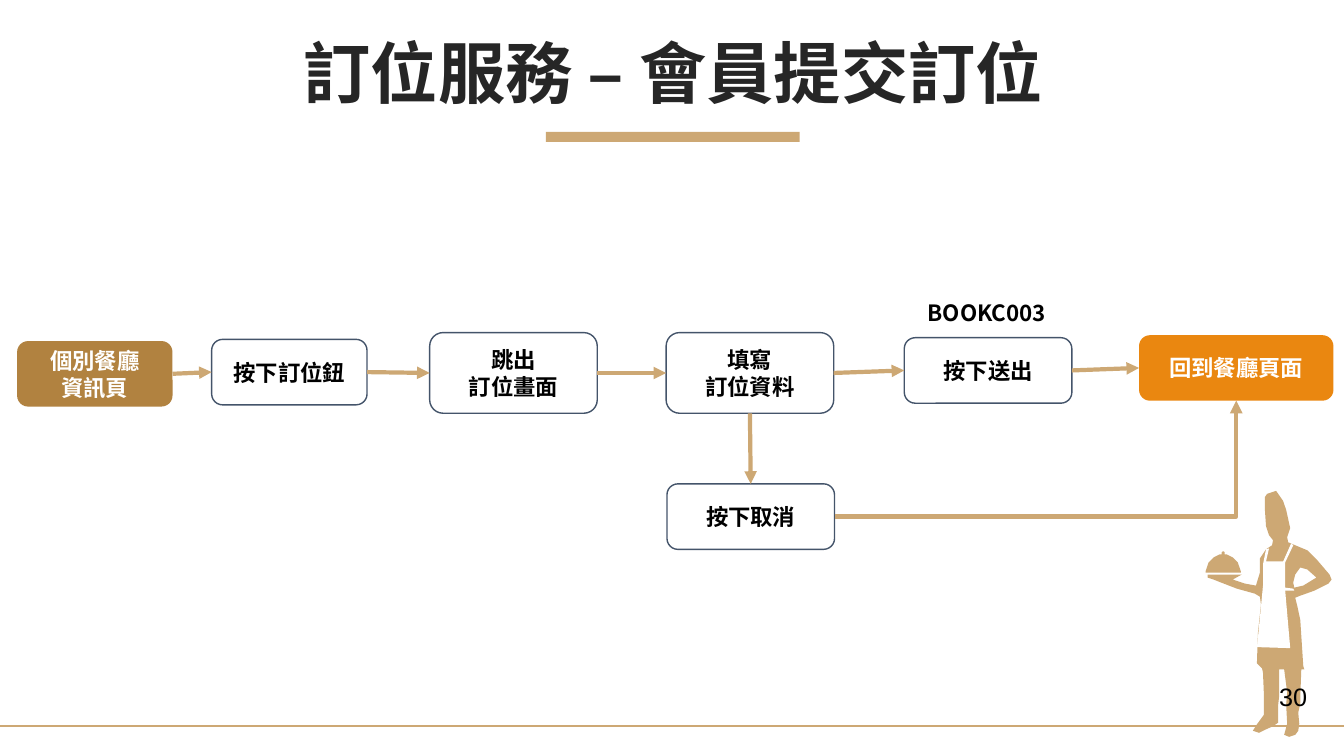
from dataclasses import dataclass

from lxml import etree
from pptx import Presentation
from pptx.dml.color import RGBColor
from pptx.enum.shapes import MSO_CONNECTOR, MSO_SHAPE
from pptx.enum.text import MSO_ANCHOR, PP_ALIGN
from pptx.oxml.ns import qn
from pptx.util import Inches, Pt

STRAIGHT, ELBOW = MSO_CONNECTOR.STRAIGHT, MSO_CONNECTOR.ELBOW
RECT, ROUNDED = MSO_SHAPE.RECTANGLE, MSO_SHAPE.ROUNDED_RECTANGLE
LEFT, CENTER = PP_ALIGN.LEFT, PP_ALIGN.CENTER
TOP, MIDDLE = MSO_ANCHOR.TOP, MSO_ANCHOR.MIDDLE
BOTTOM_SIDE, LEFT_SIDE, RIGHT_SIDE, TOP_SIDE = 2, 1, 3, 0

# The slide is a grid of 160 columns by 90 rows of square cells
SLIDE_W, SLIDE_H = Inches(13.333), Inches(7.5)
COLS, ROWS = 160, 90
CELL = SLIDE_H / ROWS
CHEF_UNIT = SLIDE_H / 750


@dataclass(frozen=True)
class Theme:
    sand: str = "CDA874"
    brown: str = "B18240"
    orange: str = "EA8710"
    outline: str = "44546A"
    heading: str = "262626"
    black: str = "000000"
    white: str = "FFFFFF"
    font: str = "Noto Sans CJK SC"
    number_font: str = "Arial"
    title_size: int = 48
    number_size: int = 18
    body_size: int = 16
    arrow_width: float = 3
    rule_width: float = 1.5
    box_width: float = 1


THEME = Theme()
NODE_H, TALL_H = 7.8, 9.6

# Name: text, left column, middle row, width, height, fill
NODES = {
    "start": ("個別餐廳\n資訊頁", 2.04, 44.5, 18.5, NODE_H, THEME.brown),
    "press": ("按下訂位鈕", 25.2, 44.3, 18.5, NODE_H, None),
    "popup": ("跳出\n訂位畫面", 51.15, 44.4, 19.95, TALL_H, None),
    "form": ("填寫\n訂位資料", 79.3, 44.4, 19.95, TALL_H, None),
    "send": ("按下送出", 107.65, 44.1, 19.95, NODE_H, None),
    "back": ("回到餐廳頁面", 135.6, 43.8, 23.15, NODE_H, THEME.orange),
    "cancel": ("按下取消", 79.4, 61.5, 19.95, NODE_H, None),
}
MAIN_FLOW = ["start", "press", "popup", "form", "send", "back"]

# Chef outlines, in 750ths of the slide's height
CHEF_BODY = [
    (1198, 570), (1232, 570), (1223, 575), (1235, 579), (1246, 581), (1250, 568),
    (1250, 554), (1256, 545), (1262, 541), (1263, 536), (1259, 531), (1256, 522),
    (1255, 507), (1255, 493), (1257, 490), (1266, 487), (1273, 497), (1276, 506),
    (1280, 524), (1277, 533), (1278, 538), (1285, 541), (1297, 546), (1307, 556),
    (1319, 570), (1321, 575), (1318, 579), (1304, 586), (1290, 591), (1285, 593),
    (1287, 601), (1290, 615), (1293, 661), (1294, 664), (1291, 664), (1290, 692),
    (1290, 698), (1288, 707), (1289, 718), (1288, 725), (1285, 729), (1279, 731),
    (1274, 729), (1277, 718), (1276, 699), (1277, 687), (1274, 664), (1269, 664),
    (1269, 691), (1268, 700), (1268, 717), (1262, 721), (1255, 724), (1249, 727),
    (1243, 725), (1246, 720), (1254, 709), (1254, 691), (1253, 667), (1252, 663),
    (1247, 658), (1248, 628), (1251, 600), (1250, 592), (1245, 589), (1227, 584),
    (1209, 577), (1204, 575), (1198, 573)]
CHEF_ARM_GAP = [(1284, 583), (1293, 581), (1306, 573), (1297, 565), (1290, 563),
                (1285, 570), (1283, 578)]
CHEF_APRON = [
    (1281, 539), (1273, 557), (1256, 557), (1259, 544), (1256, 545), (1253, 560),
    (1253, 581), (1250, 612), (1247, 642), (1280, 643), (1275, 586), (1284, 586),
    (1283, 584), (1275, 583), (1275, 558), (1283, 541)]
CHEF_DISH = [
    (1213, 547), (1212, 548), (1212, 550), (1210, 550), (1204, 553), (1199, 558),
    (1196, 567), (1196, 568), (1231, 568), (1231, 567), (1228, 558), (1223, 553),
    (1217, 550), (1215, 550), (1215, 548), (1214, 547)]


def cells(*lengths):
    return [round(length * CELL) for length in lengths]


def rgb(value):
    return RGBColor.from_string(value)


def paint(s, fill=None, line=None):
    s.shadow.inherit = False
    if fill:
        s.fill.solid()
        s.fill.fore_color.rgb = rgb(fill)
    else:
        s.fill.background()
    if line:
        s.line.color.rgb = rgb(line)
        s.line.width = Pt(THEME.box_width)
    else:
        s.line.fill.background()


def write(s, text, size, color, font=THEME.font, bold=True, align=CENTER, anchor=MIDDLE):
    tf = s.text_frame
    tf.vertical_anchor = anchor
    p = tf.paragraphs[0]
    p.text = text
    p.alignment = align
    for r in p.runs:
        r.font.size, r.font.bold, r.font.name = Pt(size), bold, font
        r.font.color.rgb = rgb(color)
        east_asian = etree.SubElement(r.font._element, qn("a:ea"))
        east_asian.set("typeface", font)
    return p


def add_text(slide, box, wrap, *args, **options):
    s = slide.shapes.add_textbox(*cells(*box))
    s.text_frame.word_wrap = wrap
    return write(s, *args, **options)


def add_node(slide, text, left, middle, width, height, fill):
    s = slide.shapes.add_shape(ROUNDED, *cells(left, middle - height / 2, width, height))
    paint(s, fill, None if fill else THEME.outline)
    s.text_frame.word_wrap = True
    write(s, text, THEME.body_size, THEME.white if fill else THEME.black)
    return s


def add_line(slide, kind, ends, width):
    s = slide.shapes.add_connector(kind, *cells(*ends))
    s.line.color.rgb = rgb(THEME.sand)
    s.line.width = Pt(width)
    etree.SubElement(s._element.spPr, qn("a:effectLst"))
    return s


def add_arrow(slide, source, source_side, target, target_side, kind=STRAIGHT):
    s = add_line(slide, kind, (0, 0, 0, 0), THEME.arrow_width)
    s.begin_connect(source, source_side)
    s.end_connect(target, target_side)
    if kind == ELBOW:  # one corner only
        s._element.spPr.find(qn("a:prstGeom")).set("prst", "bentConnector2")
    etree.SubElement(s.line._get_or_add_ln(), qn("a:tailEnd")).set("type", "triangle")


def add_outline(slide, color, *contours):
    first, *others = contours
    builder = slide.shapes.build_freeform(*first[0], scale=CHEF_UNIT)
    builder.add_line_segments(first[1:], close=True)
    for contour in others:
        builder.move_to(*contour[0])
        builder.add_line_segments(contour[1:], close=True)
    paint(builder.convert_to_shape(), color)


def main():
    prs = Presentation()
    prs.slide_width, prs.slide_height = SLIDE_W, SLIDE_H
    slide = prs.slides.add_slide(prs.slide_layouts[6])

    # Title bar and base rule
    paint(slide.shapes.add_shape(RECT, *cells(65, 15.7, 30.2, 1.2)), THEME.sand)
    add_line(slide, STRAIGHT, (0, 86.4, COLS, 86.4), THEME.rule_width)

    # Chef figure
    add_outline(slide, THEME.sand, CHEF_BODY, CHEF_ARM_GAP)
    add_outline(slide, THEME.white, CHEF_APRON)
    add_outline(slide, THEME.sand, CHEF_DISH)

    # Title
    p = add_text(slide, (4.2, 4.4, 151.9, 9.5), True, "訂位服務 – 會員提交訂位",
                 THEME.title_size, THEME.heading)
    p.line_spacing, p.space_before = 0.9, Pt(10)

    # Booking flow
    nodes = {name: add_node(slide, *node) for name, node in NODES.items()}
    for source, target in zip(MAIN_FLOW, MAIN_FLOW[1:]):
        add_arrow(slide, nodes[source], RIGHT_SIDE, nodes[target], LEFT_SIDE)
    add_arrow(slide, nodes["form"], BOTTOM_SIDE, nodes["cancel"], TOP_SIDE)
    add_arrow(slide, nodes["cancel"], RIGHT_SIDE, nodes["back"], BOTTOM_SIDE, ELBOW)

    # Step code and page number
    add_text(slide, (109.1, 35, 16.8, 7.7), False, "BOOKC003",
             THEME.body_size, THEME.black, anchor=TOP)
    add_text(slide, (151.1, 80.5, 5.8, 4.8), False, "30", THEME.number_size, THEME.black,
             font=THEME.number_font, bold=False, align=LEFT, anchor=TOP)

    prs.save("out.pptx")


if __name__ == "__main__":
    main()
